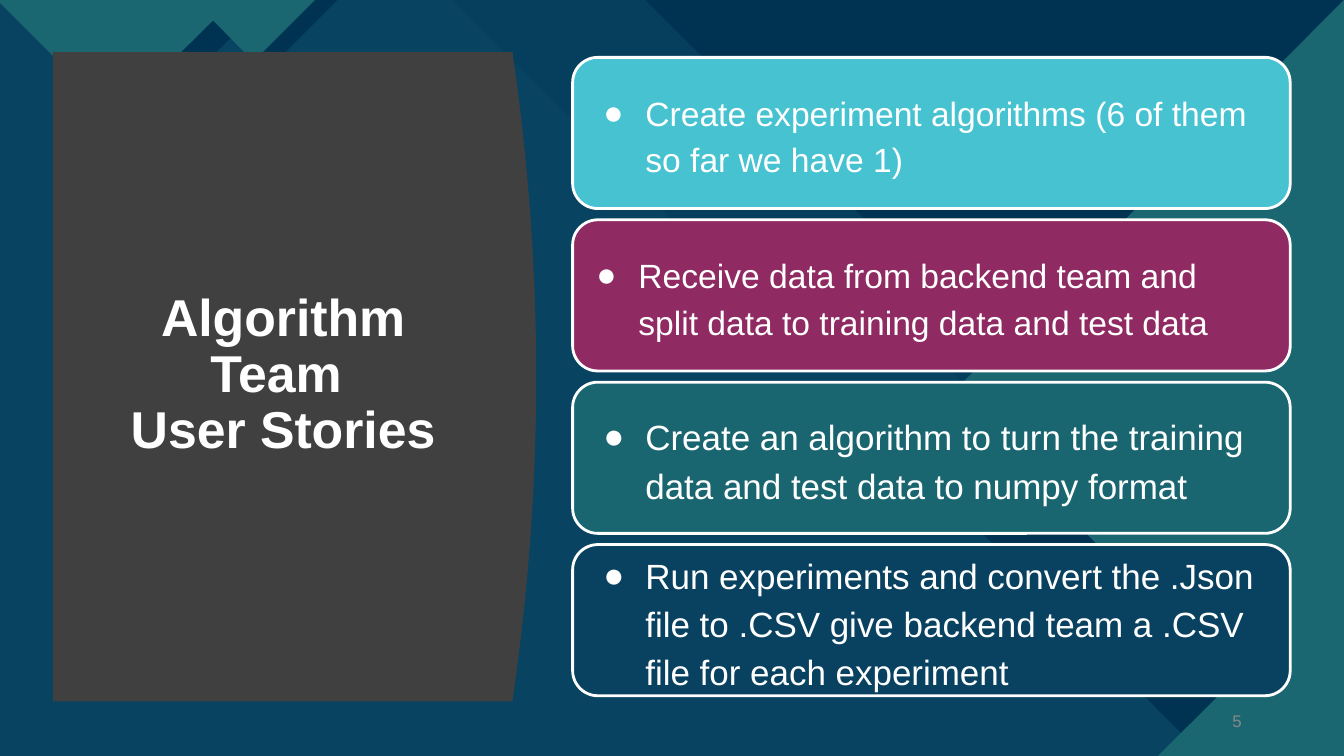
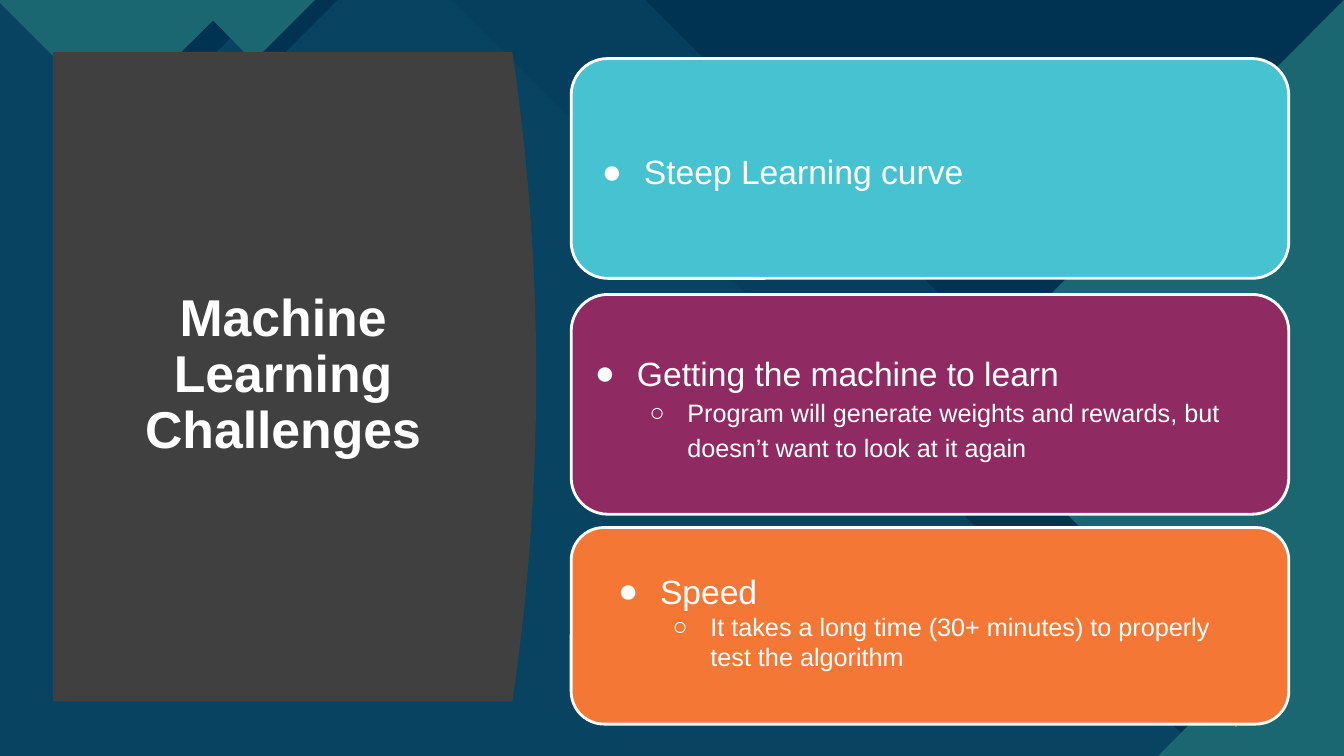
"""Build two user-story slides with a shared angular backdrop."""
from pptx import Presentation
from pptx.dml.color import RGBColor
from pptx.enum.shapes import MSO_SHAPE as Preset
from pptx.enum.text import MSO_ANCHOR as Anchor, PP_ALIGN as Align
from pptx.oxml.ns import qn
from pptx.util import Pt
from lxml.etree import SubElement

WHITE = RGBColor(0xFF, 0xFF, 0xFF)
GREY = RGBColor(0x88, 0x88, 0x88)
COAL = RGBColor(0x40, 0x40, 0x40)
BASE = RGBColor(0x0C, 0x43, 0x60)
NAVY = RGBColor(0x00, 0x32, 0x52)
TEAL = RGBColor(0x1B, 0x67, 0x71)
CYAN = RGBColor(0x47, 0xC3, 0xD3)
AQUA = RGBColor(0x46, 0xC2, 0xD1)
PLUM = RGBColor(0x8F, 0x2A, 0x62)
PINE = RGBColor(0x19, 0x66, 0x71)
DEEP = RGBColor(0x09, 0x42, 0x60)
RUST = RGBColor(0xF4, 0x77, 0x35)

FONT = "Arial"
WIDE, HIGH = 960, 540
CARD_W = 512.6
ROUND = 0.1667
CORNER = 0.293 * ROUND
BULLETS = [("●", 36, -30), ("○", 72, -27)]

PANEL_L, PANEL_R, BULGE = 38, 366, 17
PANEL_T, PANEL_B = 37.2, 501
STEPS = 40

BACKDROP = [
    (CYAN, 72, [(0, 0), (595, 0), (809, 214), (889, 214), (WIDE, 285),
                (WIDE, HIGH), (0, HIGH)]),
    (CYAN, 100, [(0, 0), (323, 0), (537, 214), (628, 214), (954, HIGH), (0, HIGH)]),
    (NAVY, 100, [(461, 0), (WIDE, 0), (WIDE, 499)]),
    (NAVY, 88, [(0, 0), (500, 0), (714, 214), (805, 214), (WIDE, 369),
                (WIDE, HIGH), (0, HIGH)]),
    (NAVY, 100, [(WIDE, 49), (WIDE, HIGH), (860, HIGH), (665, 344)]),
    (TEAL, 100, [(WIDE, 0), (WIDE, HIGH), (935, HIGH), (678, 283)]),
    (NAVY, 100, [(WIDE, 442), (WIDE, HIGH), (862, HIGH)]),
    (TEAL, 100, [(WIDE, 408), (WIDE, HIGH), (827, HIGH)]),
    (NAVY, 100, [(192, 0), (106, 85), (21, 0)]),
    (TEAL, 100, [(0, 0), (0, 2), (82, 84), (167, 0)]),
    (NAVY, 100, [(241, 0), (196, 45), (150, 0)]),
    (TEAL, 100, [(138, 0), (181, 44), (225, 0)]),
]

SLIDES = [
    {"title": ["Algorithm Team ", "User Stories"], "page": "5",
     "left": 409, "top": 41, "cards": [
        {"fill": AQUA, "high": 108, "gap": 8, "pads": (16, 16), "text": [
            ("Create experiment algorithms (6 of them so far we have 1)", 24, 0)]},
        {"fill": PLUM, "high": 108, "gap": 8, "pads": (11, 21), "text": [
            ("Receive data from backend team and split data to training data "
             "and test data", 24, 0)]},
        {"fill": PINE, "high": 108, "gap": 8, "pads": (16, 16), "text": [
            ("Create an algorithm to turn the training data and test data "
             "to numpy format", 25, 0)]},
        {"fill": DEEP, "high": 108, "gap": 8, "pads": (16, 16), "text": [
            ("Run experiments and convert the .Json file to .CSV give backend "
             "team a .CSV file for each experiment", 25, 0)]},
     ]},
    {"title": ["Machine Learning Challenges"], "page": "7",
     "left": 408, "top": 41.8, "cards": [
        {"fill": AQUA, "high": 157, "gap": 11.5, "pads": (16, 16), "text": [
            ("Steep Learning curve", 24, 0)]},
        {"fill": PLUM, "high": 157, "gap": 9.5, "pads": (11, 21), "text": [
            ("Getting the machine to learn", 24, 0),
            ("Program will generate weights and rewards, but doesn’t want "
             "to look at it again", 18, 1)]},
        {"fill": RUST, "high": 140.4, "gap": 0, "pads": (27.5, 35), "lift": 6,
         "space": 1, "text": [
            ("Speed", 24, 0),
            ("It takes a long time (30+ minutes) to properly test the algorithm",
             18, 1)]},
     ]},
]


def write(frame, paras, color=WHITE, bold=False, align=Align.LEFT, space=1,
          pads=(7.2, 3.6, 7.2, 3.6), bullet=False):
    frame.word_wrap = True
    frame.vertical_anchor = Anchor.MIDDLE
    (frame.margin_left, frame.margin_top,
     frame.margin_right, frame.margin_bottom) = [Pt(pad) for pad in pads]
    for i, (text, size, level) in enumerate(paras):
        para = frame.add_paragraph() if i else frame.paragraphs[0]
        para.alignment, para.line_spacing, para.level = align, space, level
        run = para.add_run()
        run.text = text
        font = run.font
        font.name, font.size, font.bold = FONT, Pt(size), bold
        font.color.rgb = color
        if bullet:
            mark, margin, indent = BULLETS[level]
            props = para._p.get_or_add_pPr()
            props.set("marL", str(Pt(margin)))
            props.set("indent", str(Pt(indent)))
            SubElement(props, qn("a:buFont")).set("typeface", FONT)
            SubElement(props, qn("a:buChar")).set("char", mark)


def paint(shape, color, alpha=100):
    shape.shadow.inherit = False
    shape.fill.solid()
    shape.fill.fore_color.rgb = color
    shape.line.fill.background()
    if alpha < 100:
        tint = shape.element.spPr.find(".//" + qn("a:srgbClr"))
        SubElement(tint, qn("a:alpha")).set("val", str(alpha * 1000))


def outline(shapes, points):
    first, *rest = [(Pt(x), Pt(y)) for x, y in points]
    pen = shapes.build_freeform(*first)
    pen.add_line_segments(rest, close=True)
    return pen.convert_to_shape()


def curve():
    mid, half = (PANEL_T + PANEL_B) / 2, (PANEL_B - PANEL_T) / 2
    turns = [2 * i / STEPS - 1 for i in range(STEPS + 1)]
    edge = [(PANEL_R + BULGE * (1 - t * t), mid + half * t) for t in turns]
    return [(PANEL_L, PANEL_T), *edge, (PANEL_L, PANEL_B)]


def dress(layout, slide):
    for holder in list(layout.placeholders):
        layout.shapes.element.remove(holder.element)
    fill = layout.background.fill
    fill.solid()
    fill.fore_color.rgb = BASE
    for color, alpha, points in BACKDROP + [(COAL, 100, curve())]:
        shape = outline(slide.shapes, points)
        paint(shape, color, alpha)
        layout.shapes.element.append(shape.element)


def label(slide, box, paras, **look):
    frame = slide.shapes.add_textbox(*[Pt(v) for v in box]).text_frame
    write(frame, paras, **look)


def add_card(slide, left, top, card):
    high = card["high"]
    box = [Pt(v) for v in (left, top, CARD_W, high)]
    shape = slide.shapes.add_shape(Preset.ROUNDED_RECTANGLE, *box)
    shape.adjustments[0] = ROUND
    paint(shape, card["fill"])
    shape.line.color.rgb = WHITE
    shape.line.width = Pt(2)
    start, end = [pad - CORNER * high for pad in card["pads"]]
    write(shape.text_frame, card["text"], bullet=True,
          space=card.get("space", 1.15),
          pads=(start, 10.8, end, 10.8 + card.get("lift", 0)))


def main():
    deck = Presentation()
    deck.slide_width, deck.slide_height = Pt(WIDE), Pt(HIGH)
    layout = deck.slide_layouts[6]
    for i, data in enumerate(SLIDES):
        slide = deck.slides.add_slide(layout)
        if i == 0:
            dress(layout, slide)
        label(slide, (67.5, 80, 269.5, 377), [(t, 37, 0) for t in data["title"]],
              bold=True, align=Align.CENTER, space=0.9)
        label(slide, (844.5, 500.5, 49.5, 29), [(data["page"], 12, 0)],
              color=GREY, align=Align.RIGHT)
        top = data["top"]
        for card in data["cards"]:
            add_card(slide, data["left"], top, card)
            top += card["high"] + card["gap"]
    deck.save("out.pptx")


if __name__ == "__main__":
    main()
